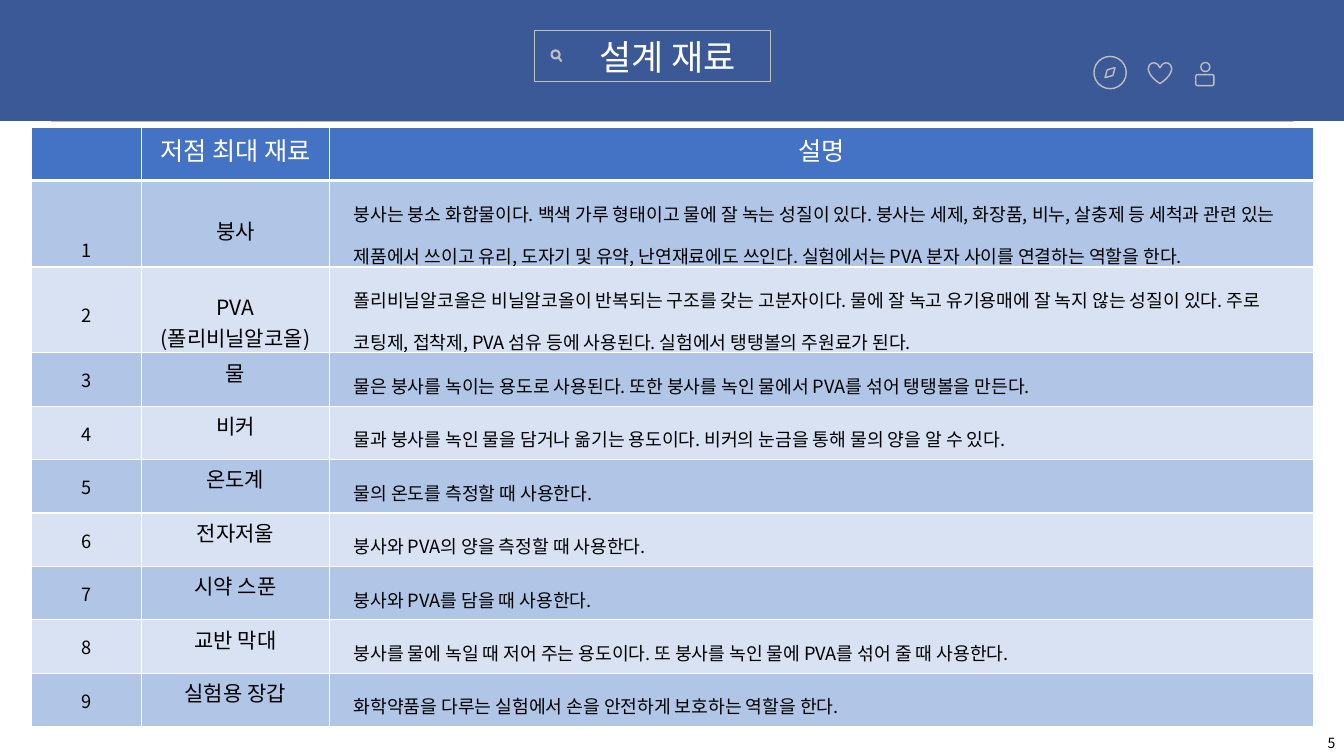
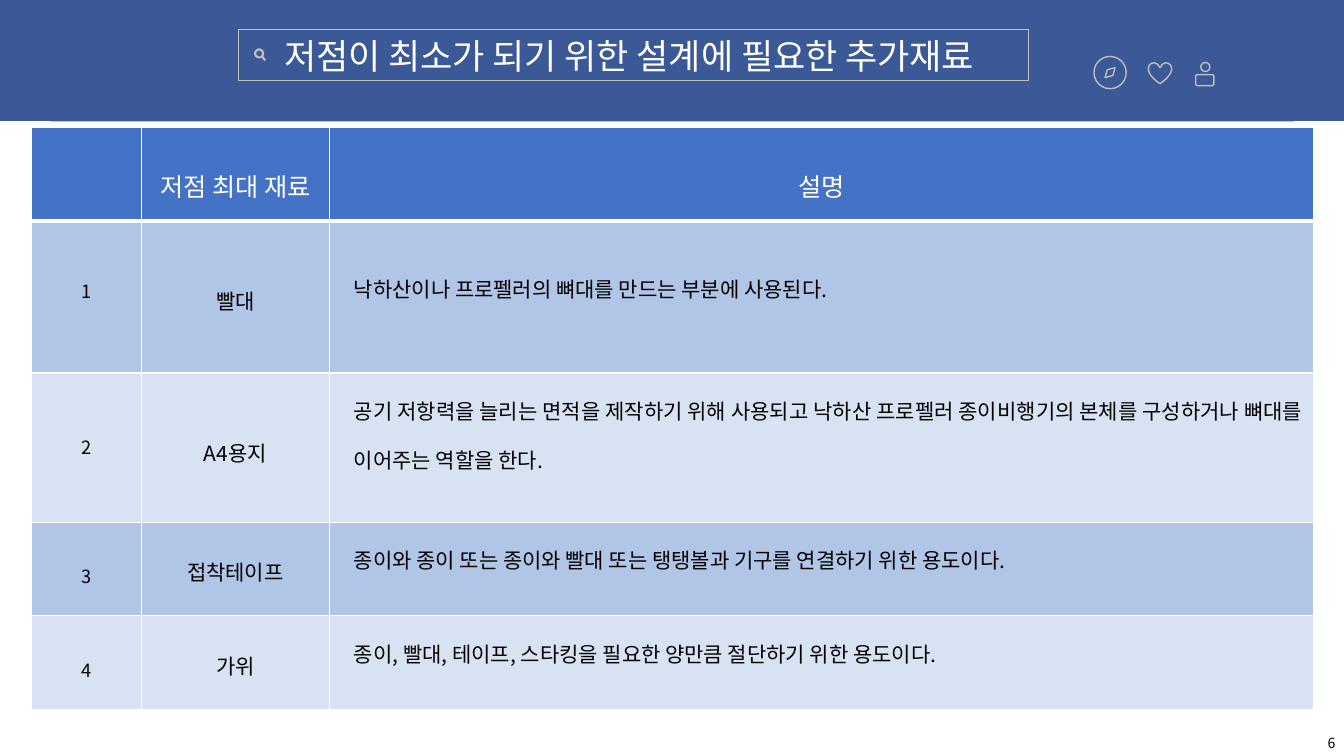
import pptx
import pptx.dml.color
import pptx.enum.shapes
import pptx.enum.text
import pptx.oxml.ns
import pptx.util
from lxml import etree

Inches = pptx.util.Inches
Pt = pptx.util.Pt
SHAPE = pptx.enum.shapes.MSO_SHAPE
ALIGN = pptx.enum.text.PP_ALIGN
qn = pptx.oxml.ns.qn

# Shared look
FONT = "Noto Sans CJK KR"
NAVY, HEADER, GRAY, WHITE, BLACK = "3B5997", "4472C4", "BFBFBF", "FFFFFF", "000000"
STRIPES = ("B1C5E7", "D8E2F3")
COLUMNS = (1.09, 1.87, 9.76)
HEADINGS = ("", "저점 최대 재료", "설명")
LINE_STEP = 0.02  # inches of line height for each point of text size


def rgb(value):
    return pptx.dml.color.RGBColor.from_string(value)


def write(tf, text, color, align=ALIGN.LEFT, size=13, spacing=None):
    """Fill a text frame, one paragraph for each line of text."""
    for i, line in enumerate(text.split("\n")):
        p = tf.paragraphs[0] if i == 0 else tf.add_paragraph()
        for name, value in {"alignment": align, "line_spacing": spacing}.items():
            setattr(p, name, value)
        r = p.add_run()
        r.text = line
        for name, value in {"size": Pt(size), "name": FONT}.items():
            setattr(r.font, name, value)
        r.font.color.rgb = rgb(color)
        ea = etree.SubElement(r.font._element, qn("a:ea"))
        ea.set("typeface", FONT)


def add_text(s, box, text, color, size, wrap=True):
    tf = s.shapes.add_textbox(*map(Inches, box)).text_frame
    settings = {"word_wrap": wrap, "margin_top": 0, "margin_bottom": 0,
                "vertical_anchor": pptx.enum.text.MSO_ANCHOR.MIDDLE}
    for name, value in settings.items():
        setattr(tf, name, value)
    write(tf, text, color, size=size)


def add_outline(s, kind, box, width=1.0, fill=None, line=GRAY):
    sp = s.shapes.add_shape(kind, *map(Inches, box))
    sp.shadow.inherit = False
    if fill:
        sp.fill.solid()
        sp.fill.fore_color.rgb = rgb(fill)
    else:
        sp.fill.background()
    sp.line.color.rgb = rgb(line)
    sp.line.width = Pt(width)
    return sp


def add_line(s, x1, y1, x2, y2, width):
    line = s.shapes.add_connector(pptx.enum.shapes.MSO_CONNECTOR.STRAIGHT,
                                  *map(Inches, (x1, y1, x2, y2)))
    line.line.color.rgb = rgb(GRAY)
    line.line.width = Pt(width)
    etree.SubElement(line._element.spPr, qn("a:effectLst"))


def add_search_box(s, x, y, width):
    """Title frame with a magnifier at its left end."""
    add_outline(s, SHAPE.RECTANGLE, (x, y, width, 0.51), 0.25)
    add_outline(s, SHAPE.OVAL, (x + 0.17, y + 0.2, 0.08, 0.08), 1.5)
    add_line(s, x + 0.24, y + 0.27, x + 0.27, y + 0.31, 1.5)


def add_icons(s, x, y):
    """Compass, heart and person."""
    add_outline(s, SHAPE.OVAL, (x, y, 0.32, 0.32))
    needle = add_outline(s, SHAPE.DIAMOND, (x + 0.09, y + 0.12, 0.14, 0.08))
    needle.rotation = 315
    add_outline(s, SHAPE.HEART, (x + 0.54, y + 0.06, 0.23, 0.21))
    add_outline(s, SHAPE.OVAL, (x + 1.06, y + 0.06, 0.09, 0.09))
    add_outline(s, SHAPE.ROUNDED_RECTANGLE, (x + 1.01, y + 0.18, 0.18, 0.11))


def add_banner(s, title, frame, text_left, text_width):
    add_outline(s, SHAPE.RECTANGLE, (0, -0.02, 13.33, 1.21), fill=NAVY, line=NAVY)
    add_search_box(s, *frame)
    add_icons(s, 10.85, 0.56)
    add_line(s, 0.51, 1.2, 12.83, 1.2, 0.5)
    add_text(s, (text_left, frame[1] + 0.01, text_width, 0.51), title, WHITE, 25)


def style_cell(cell, fill, top, bottom, lead, indent):
    """Borders, fill and margins; lead is the empty depth above the text in points."""
    tcPr = cell._tc.get_or_add_tcPr()
    for side, width in {"L": 1, "R": 1, "T": top, "B": bottom}.items():
        ln = etree.SubElement(tcPr, qn("a:ln" + side), w=str(Pt(width)))
        paint = etree.SubElement(ln, qn("a:solidFill"))
        etree.SubElement(paint, qn("a:srgbClr"), val=WHITE)
    cell.fill.solid()
    cell.fill.fore_color.rgb = rgb(fill)
    margins = {"margin_top": 0.04 + lead * LINE_STEP, "margin_bottom": 0,
               "margin_left": 0.1 + indent, "margin_right": 0.1}
    for name, value in margins.items():
        setattr(cell, name, Inches(value))


def add_materials(s, x, y, header, rows, body):
    """header: (height, lead); rows: (height, leads, name, description)."""
    heights = [header[0]] + [row[0] for row in rows]
    table = s.shapes.add_table(len(heights), len(COLUMNS), Inches(x), Inches(y),
                               Inches(sum(COLUMNS)), Inches(sum(heights))).table
    for column, width in zip(table.columns, COLUMNS):
        column.width = Inches(width)
    for row, height in zip(table.rows, heights):
        row.height = Inches(height)

    # Heading row
    for c, heading in enumerate(HEADINGS):
        cell = table.cell(0, c)
        style_cell(cell, HEADER, 1, 3, header[1], 0)
        if heading:
            write(cell.text_frame, heading, WHITE, ALIGN.CENTER, 18)

    # Numbered rows
    formats = ({"align": ALIGN.CENTER, "size": 13},
               {"align": ALIGN.CENTER, "size": 15},
               {"spacing": 1.6, **body})
    for number, (_, leads, name, description) in enumerate(rows, 1):
        texts = (str(number), name, description)
        for c, (text, lead, look) in enumerate(zip(texts, leads, formats)):
            cell = table.cell(number, c)
            style_cell(cell, STRIPES[(number - 1) % 2], 3 if number == 1 else 1, 1,
                       lead, 0.14 if c == 2 else 0)
            write(cell.text_frame, text, BLACK, **look)


def add_slide(prs, page, banner, header, rows, body):
    s = prs.slides.add_slide(prs.slide_layouts[6])
    add_banner(s, **banner)
    add_materials(s, 0.31, 1.26, header, rows, body)
    add_text(s, (13.07, 7.24, 0.26, 0.26), str(page), BLACK, 10, wrap=False)


SHORT = (0.53, (5, 0, 0))
MAIN_ROWS = [
    (0.86, (26, 15, 0), "붕사",
     "붕사는 붕소 화합물이다. 백색 가루 형태이고 물에 잘 녹는 성질이 있다. "
     "붕사는 세제, 화장품, 비누, 살충제 등 세척과 관련 있는 제품에서 쓰이고 유리, "
     "도자기 및 유약, 난연재료에도 쓰인다. 실험에서는 PVA 분자 사이를 연결하는 역할을 한다."),
    (0.85, (15, 10, 0), "PVA\n(폴리비닐알코올)",
     "폴리비닐알코올은 비닐알코올이 반복되는 구조를 갖는 고분자이다. "
     "물에 잘 녹고 유기용매에 잘 녹지 않는 성질이 있다. 주로 코팅제, 접착제, "
     "PVA 섬유 등에 사용된다. 실험에서 탱탱볼의 주원료가 된다."),
    (*SHORT, "물", "물은 붕사를 녹이는 용도로 사용된다. 또한 붕사를 녹인 물에서 PVA를 섞어 탱탱볼을 만든다."),
    (*SHORT, "비커", "물과 붕사를 녹인 물을 담거나 옮기는 용도이다. 비커의 눈금을 통해 물의 양을 알 수 있다."),
    (*SHORT, "온도계", "물의 온도를 측정할 때 사용한다."),
    (*SHORT, "전자저울", "붕사와 PVA의 양을 측정할 때 사용한다."),
    (*SHORT, "시약 스푼", "붕사와 PVA를 담을 때 사용한다."),
    (*SHORT, "교반 막대", "붕사를 물에 녹일 때 저어 주는 용도이다. 또 붕사를 녹인 물에 PVA를 섞어 줄 때 사용한다."),
    (*SHORT, "실험용 장갑", "화학약품을 다루는 실험에서 손을 안전하게 보호하는 역할을 한다."),
]
EXTRA_ROWS = [
    (1.51, (26, 30, 15), "빨대", "낙하산이나 프로펠러의 뼈대를 만드는 부분에 사용된다."),
    (1.48, (28, 30, 0), "A4용지",
     "공기 저항력을 늘리는 면적을 제작하기 위해 사용되고 낙하산 프로펠러 "
     "종이비행기의 본체를 구성하거나 뼈대를 이어주는 역할을 한다."),
    (0.93, (18, 15, 0), "접착테이프", "종이와 종이 또는 종이와 빨대 또는 탱탱볼과 기구를 연결하기 위한 용도이다."),
    (0.93, (18, 15, 0), "가위", "종이, 빨대, 테이프, 스타킹을 필요한 양만큼 절단하기 위한 용도이다."),
]


def main():
    prs = pptx.Presentation()
    prs.slide_width, prs.slide_height = Inches(13.33), Inches(7.5)
    add_slide(prs, 5,
              {"title": "설계 재료", "frame": (5.3, 0.3, 2.34),
               "text_left": 5.85, "text_width": 1.64},
              (0.53, 0), MAIN_ROWS, {"size": 13})
    add_slide(prs, 6,
              {"title": "저점이 최소가 되기 위한 설계에 필요한 추가재료", "frame": (2.36, 0.29, 7.84),
               "text_left": 2.72, "text_width": 7.35},
              (0.93, 18), EXTRA_ROWS, {"size": 15, "align": ALIGN.JUSTIFY})
    prs.save("out.pptx")


if __name__ == "__main__":
    main()
